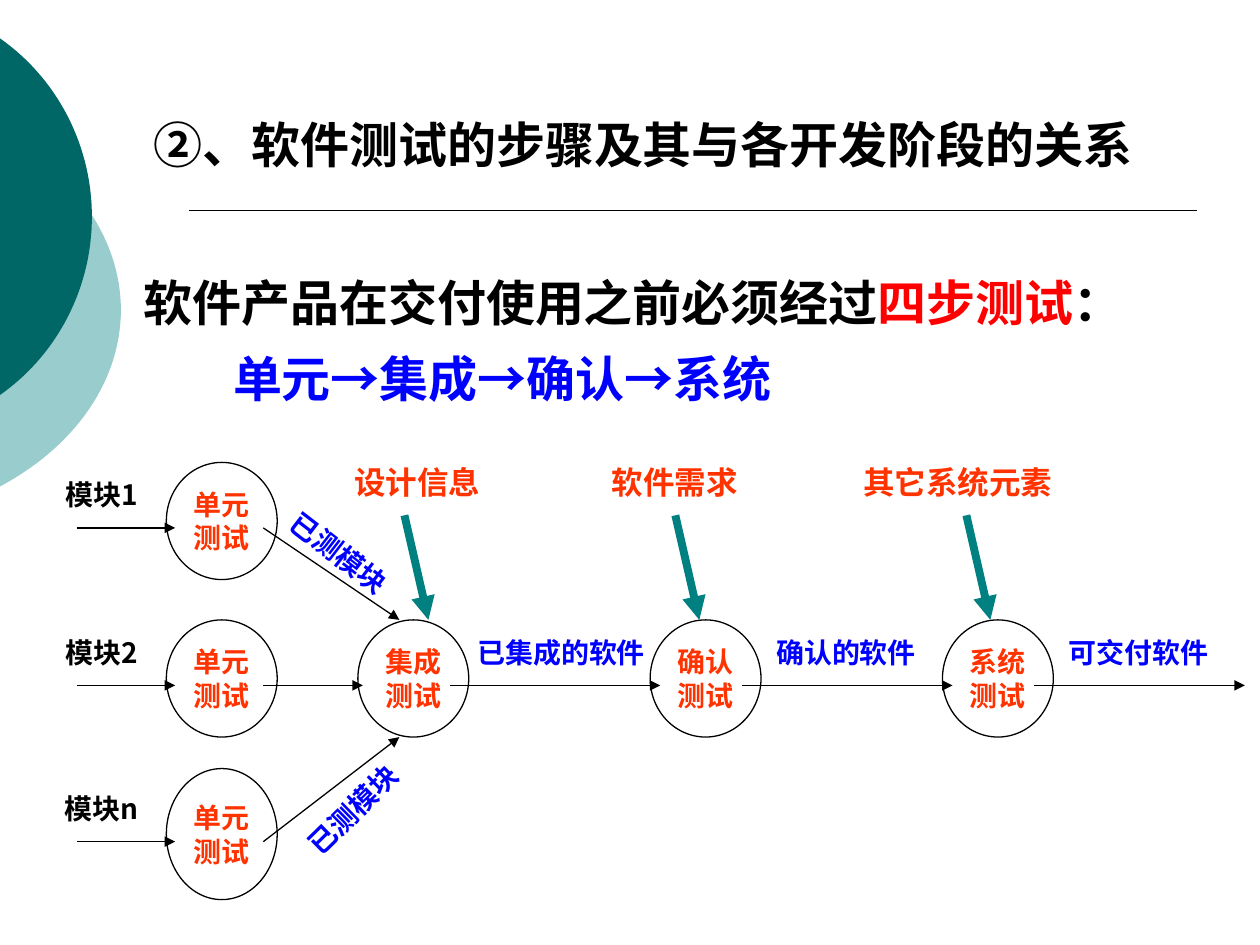
from math import acos, cos, sin

from pptx import Presentation
from pptx.dml.color import RGBColor as RGB
from pptx.enum.shapes import MSO_CONNECTOR as LINE, MSO_SHAPE as SHAPE
from pptx.enum.text import MSO_ANCHOR as ANCHOR, PP_ALIGN as ALIGN
from pptx.oxml.ns import qn
from pptx.util import Inches, Pt
from lxml.etree import SubElement

THEME = dict(
    font="Noto Sans CJK SC", black="000000", red="FF0000", blue="0000FF", orange="FF3300",
    teal="008080", dark="006666", light="99CCCC", heading=28, source=18, label=16, thin=0.75, thick=4.5,
)

TITLE = "②、软件测试的步骤及其与各开发阶段的关系"
INTRO = [
    [("软件产品在交付使用之前必须经过", "black"), ("四步测试", "red"), ("：", "black")],
    [("单元→集成→确认→系统", "blue")],
]
DISCS = [(-1.29, 2.46, 2.25, 1.71, "light"), (-0.96, 1.72, 1.69, 1.72, "dark")]
MODULES = [("模块1", 4.19, 3.67, 0.93), ("模块2", 5.44, 4.92, 0.93), ("模块n", 6.68, 6.1, 1.04)]
STAGES = [
    ("集成", 2.84, "已集成的软件", 3.77),
    ("确认", 5.16, "确认的软件", 6.03),
    ("系统", 7.48, "可交付软件", 8.35),
]
SOURCES = [("设计信息", 2.72, 1.18, 3.21), ("软件需求", 4.73, 1.25, 5.36), ("其它系统元素", 6.74, 1.72, 7.67)]
TESTED = [(2.2, 4.23, 37.7), (2.31, 6.27, 315.7)]
UNIT_X, STAGE_Y, FLOW_Y, NODE_W, NODE_H, LABEL_H = 1.32, 4.92, 5.44, 0.88, 0.93, 0.31


def color(name):
    return RGB.from_string(THEME[name])


def style(r, size, fill):
    r.font.size, r.font.bold, r.font.name = Pt(THEME[size]), True, THEME["font"]
    r.font.color.rgb = color(fill)
    SubElement(r.font._element, qn("a:ea"), typeface=THEME["font"])


def frame(s, wrap):
    tf = s.text_frame
    tf.margin_left = tf.margin_top = tf.margin_right = tf.margin_bottom = 0
    tf.word_wrap = wrap
    return tf


def textbox(slide, x, y, w, h, wrap=True):
    s = slide.shapes.add_textbox(Inches(x), Inches(y), Inches(w), Inches(h))
    return s, frame(s, wrap)


def centre(tf, text, size, fill):
    tf.text = text
    tf.vertical_anchor = ANCHOR.MIDDLE
    for p in tf.paragraphs:
        p.alignment = ALIGN.CENTER
        style(p.runs[0], size, fill)


def label(slide, text, x, y, w, fill, size="label", rotation=0):
    s, tf = textbox(slide, x, y, w, LABEL_H, False)
    s.rotation = rotation
    centre(tf, text, size, fill)


def node(slide, name, x, y, h=NODE_H):
    s = slide.shapes.add_shape(SHAPE.OVAL, Inches(x), Inches(y), Inches(NODE_W), Inches(h))
    s.shadow.inherit = False
    s.fill.background()
    s.line.color.rgb, s.line.width = color("black"), Pt(THEME["thin"])
    centre(frame(s, False), f"{name}\n测试", "label", "orange")


def line(slide, x1, y1, x2, y2, fill="black", width=THEME["thin"], arrow=True):
    s = slide.shapes.add_connector(LINE.STRAIGHT, *map(Inches, (x1, y1, x2, y2)))
    s.line.color.rgb, s.line.width = color(fill), Pt(width)
    if arrow:
        SubElement(s.line._get_or_add_ln(), qn("a:tailEnd"), type="triangle")
    SubElement(s._element.spPr, qn("a:effectLst"))


def disc(slide, cx, cy, rx, ry, fill, steps=60):
    edge = acos(-cx / rx)
    angles = [edge * (2 * i / steps - 1) for i in range(steps + 1)]
    points = [(Inches(cx + rx * cos(a)), Inches(cy + ry * sin(a))) for a in angles]
    builder = slide.shapes.build_freeform(*points[0])
    builder.add_line_segments(points[1:], close=True)
    s = builder.convert_to_shape()
    s.shadow.inherit = False
    s.fill.solid()
    s.fill.fore_color.rgb = color(fill)
    s.line.fill.background()


def headings(slide):
    _, tf = textbox(slide, 1.14, 2.02, 8.43, 1.23)
    for i, parts in enumerate(INTRO):
        p = tf.add_paragraph() if i else tf.paragraphs[0]
        p.line_spacing = 1.3
        if i:
            p._p.get_or_add_pPr().set("marL", str(Inches(0.71)))
        for text, fill in parts:
            r = p.add_run()
            r.text = text
            style(r, "heading", fill)
    _, tf = textbox(slide, 1.22, 0.91, 8.03, 0.47)
    tf.text = TITLE
    style(tf.paragraphs[0].runs[0], "heading", "black")


def diagram(slide):
    for name, y, top, h in MODULES:
        node(slide, "单元", UNIT_X, top, h)
        line(slide, 0.61, y, 1.39, y)
        label(slide, name, 0.51, y - 0.42, 0.59, "black")
    ends = [(3.17, STAGE_Y), (2.88, FLOW_Y), (3.17, STAGE_Y + NODE_H)]
    for (_, y, _, _), end in zip(MODULES, ends):
        line(slide, 2.09, y, *end)
    for x, y, rotation in TESTED:
        label(slide, "已测模块", x, y, 0.98, "blue", rotation=rotation)
    for name, x, output, label_x in STAGES:
        node(slide, name, x, STAGE_Y)
        line(slide, x + 0.73, FLOW_Y, x + 2.4, FLOW_Y)
        label(slide, output, label_x, 5.02, 1.37, "blue")
    for text, x, w, start in SOURCES:
        line(slide, start, 4.09, start + 0.19, STAGE_Y, "teal", THEME["thick"])
        label(slide, text, x, 3.67, w, "orange", "source")


def main():
    """Build the slide on software testing steps."""
    prs = Presentation()
    prs.slide_width, prs.slide_height = Inches(10), Inches(7.5)
    slide = prs.slides.add_slide(prs.slide_layouts[6])
    for item in DISCS:
        disc(slide, *item)
    line(slide, 1.5, 1.67, 9.5, 1.67, width=1, arrow=False)
    headings(slide)
    diagram(slide)
    prs.save("out.pptx")


if __name__ == "__main__":
    main()
